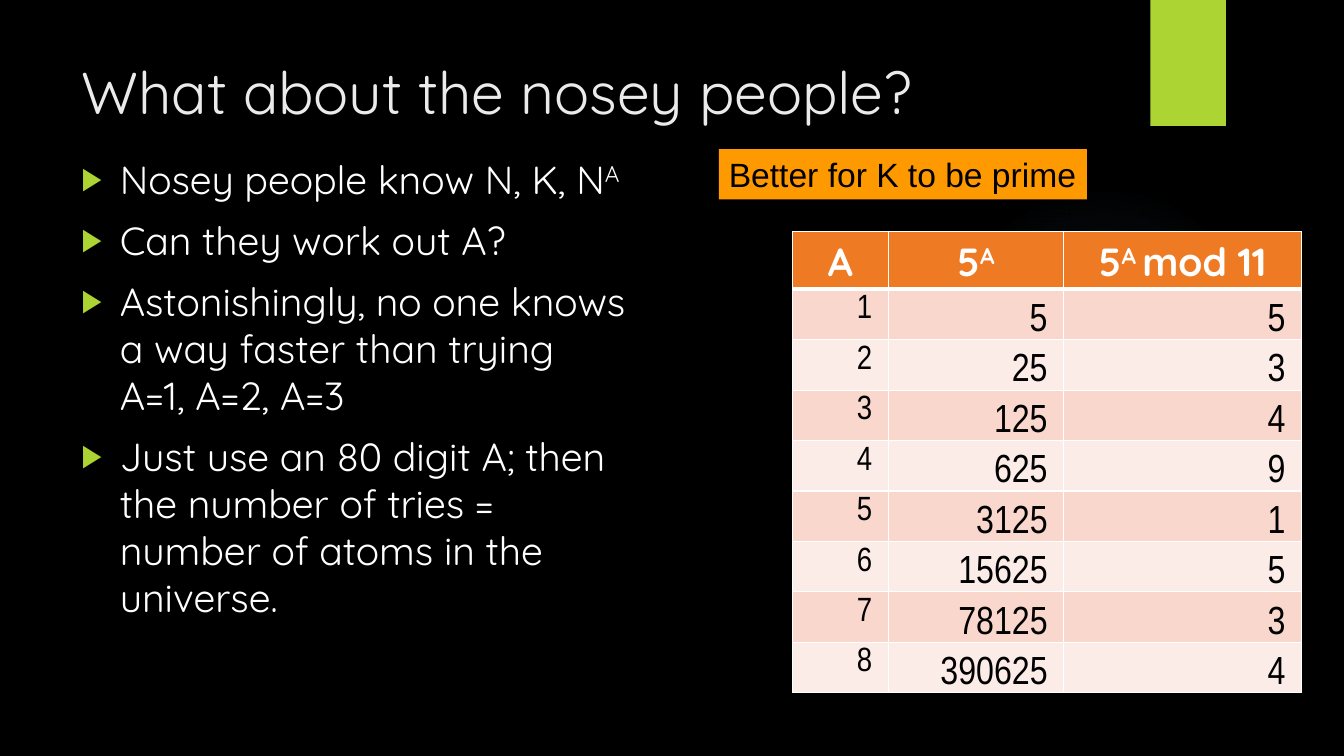
import pptx
import pptx.util
import pptx.dml.color
import pptx.enum.shapes
import pptx.enum.text
import pptx.oxml
import pptx.oxml.ns
from dataclasses import dataclass

TITLE = "What about the nosey people?"
POINTS = [
    [("Nosey people know N, K, N", False), ("A", True)],
    [("Can they work out A?", False)],
    [("Astonishingly, no one knows a way faster than trying A=1, A=2, A=3", False)],
    [("Just use an 80 digit A; then the number of tries = number of atoms in the universe.", False)],
]
NOTE = "Better for K to be prime"
HEADS = [
    [("A", False)],
    [("5", False), ("A", True)],
    [("5", False), ("A ", True), ("mod 11", False)],
]
ROWS = [(a, 5 ** a, 5 ** a % 11) for a in range(1, 9)]
COLS = (0.95, 1.74, 2.36)
HEAD_H, ROW_H = 0.57, 0.5


@dataclass(frozen=True)
class Theme:
    back: str = "000000"
    glow: str = "7AC4F0"
    green: str = "ACD433"
    title: str = "EBEBEB"
    white: str = "FFFFFF"
    black: str = "000000"
    note: str = "FF9900"
    head: str = "EF7A24"
    bands: tuple = ("F9D7CD", "FCECE8")
    face: str = "Quicksand"
    plain: str = "Arial"
    thin: str = "Arial Narrow"
    big: int = 42
    text: int = 28
    small: int = 24


T = Theme()
Inches = pptx.util.Inches
Align = pptx.enum.text.PP_ALIGN
Anchor = pptx.enum.text.MSO_ANCHOR
Shape = pptx.enum.shapes.MSO_SHAPE
NS = pptx.oxml.ns.nsdecls("a")


def rgb(code):
    return pptx.dml.color.RGBColor.from_string(code)


def paint(fill, code):
    fill.solid()
    fill.fore_color.rgb = rgb(code)


def xml(text):
    return pptx.oxml.parse_xml(text.replace(" NS", " " + NS, 1))


def write(para, parts, face, size, code, bold=False):
    for text, high in parts:
        run = para.add_run()
        run.text = text
        if high:
            run._r.get_or_add_rPr().set("baseline", "30000")
    font = para.font
    font.name, font.size, font.bold = face, pptx.util.Pt(size), bold
    font.color.rgb = rgb(code)


def add_box(slide, place, wrap=True):
    box = slide.shapes.add_textbox(*map(Inches, place))
    box.text_frame.word_wrap = wrap
    return box


def add_bullet(para):
    props = para._p.get_or_add_pPr()
    props.set("marL", str(Inches(0.38)))
    props.set("indent", str(-Inches(0.38)))
    for item in (
        f'<a:buClr NS><a:srgbClr val="{T.green}"/></a:buClr>',
        '<a:buSzPct NS val="80000"/>',
        '<a:buFont NS typeface="Arial"/>',
        '<a:buChar NS char="▶"/>',
    ):
        props.append(xml(item))


def add_decor(slide):
    glow = slide.shapes.add_shape(Shape.OVAL, *map(Inches, (9.41, 1.83, 3.08, 3.08)))
    glow.shadow.inherit = False
    glow.line.fill.background()
    stops = "".join(
        f'<a:gs pos="{pos}000"><a:srgbClr val="{T.glow}"><a:alpha val="{alpha}000"/></a:srgbClr></a:gs>'
        for pos, alpha in ((0, 7), (36, 6), (69, 0))
    )
    glow._element.spPr.find(pptx.oxml.ns.qn("a:prstGeom")).addnext(xml(
        f'<a:gradFill NS><a:gsLst>{stops}</a:gsLst><a:path path="circle">'
        '<a:fillToRect l="50000" t="50000" r="50000" b="50000"/></a:path></a:gradFill>'
    ))
    tab = slide.shapes.add_shape(Shape.RECTANGLE, *map(Inches, (11.41, 0, 0.75, 1.25)))
    tab.shadow.inherit = False
    paint(tab.fill, T.green)
    tab.line.fill.background()
    shade = tab._element.spPr.find(pptx.oxml.ns.qn("a:effectLst"))
    shade.append(xml(
        '<a:outerShdw NS blurRad="38100" dist="25400" dir="5400000" rotWithShape="0">'
        f'<a:srgbClr val="{T.black}"><a:alpha val="45000"/></a:srgbClr></a:outerShdw>'
    ))


def add_edges(cell, head):
    props = cell._tc.get_or_add_tcPr()
    for spot, side in enumerate("LRTB"):
        width = pptx.util.Pt(3 if head and side == "B" else 1)
        props.insert(spot, xml(
            f'<a:ln{side} NS w="{width}"><a:solidFill>'
            f'<a:srgbClr val="{T.white}"/></a:solidFill></a:ln{side}>'
        ))


def add_grid(slide):
    height = HEAD_H + ROW_H * len(ROWS)
    frame = slide.shapes.add_table(
        len(ROWS) + 1, len(COLS), *map(Inches, (7.86, 2.3, sum(COLS), height)))
    table = frame.table
    table.first_row = table.horz_banding = False
    for col, width in zip(table.columns, COLS):
        col.width = Inches(width)
    for r, row in enumerate(table.rows):
        row.height = Inches(ROW_H if r else HEAD_H)
        for c, cell in enumerate(row.cells):
            para = cell.text_frame.paragraphs[0]
            paint(cell.fill, T.bands[(r - 1) % 2] if r else T.head)
            add_edges(cell, r == 0)
            if r == 0:
                para.alignment = Align.CENTER
                write(para, HEADS[c], T.face, T.text, T.white, True)
                continue
            para.alignment = Align.RIGHT
            cell.margin_right = Inches(0.16)
            if c:
                cell.vertical_anchor = Anchor.BOTTOM
                cell.margin_left = cell.margin_top = Inches(0.01)
                cell.margin_bottom = 0
            size = T.text if c else T.small
            write(para, [(str(ROWS[r - 1][c]), False)], T.thin, size, T.black)


def main():
    deck = pptx.Presentation()
    deck.slide_width, deck.slide_height = Inches(13.33), Inches(7.5)
    slide = deck.slides.add_slide(deck.slide_layouts[6])
    paint(slide.background.fill, T.back)
    add_decor(slide)

    title = add_box(slide, (0.71, 0.5, 10.29, 1.53))
    write(title.text_frame.paragraphs[0], [(TITLE, False)], T.face, T.big, T.title)

    body = add_box(slide, (0.71, 1.49, 5.61, 6.01)).text_frame
    for n, parts in enumerate(POINTS):
        para = body.add_paragraph() if n else body.paragraphs[0]
        add_bullet(para)
        if n:
            para.space_before = pptx.util.Pt(10)
        write(para, parts, T.face, T.text, T.white)

    note = add_box(slide, (7.13, 1.48, 3.65, 0.5), False)
    paint(note.fill, T.note)
    note.text_frame.auto_size = pptx.enum.text.MSO_AUTO_SIZE.SHAPE_TO_FIT_TEXT
    write(note.text_frame.paragraphs[0], [(NOTE, False)], T.plain, T.small, T.black)

    add_grid(slide)
    deck.save("out.pptx")


if __name__ == "__main__":
    main()
